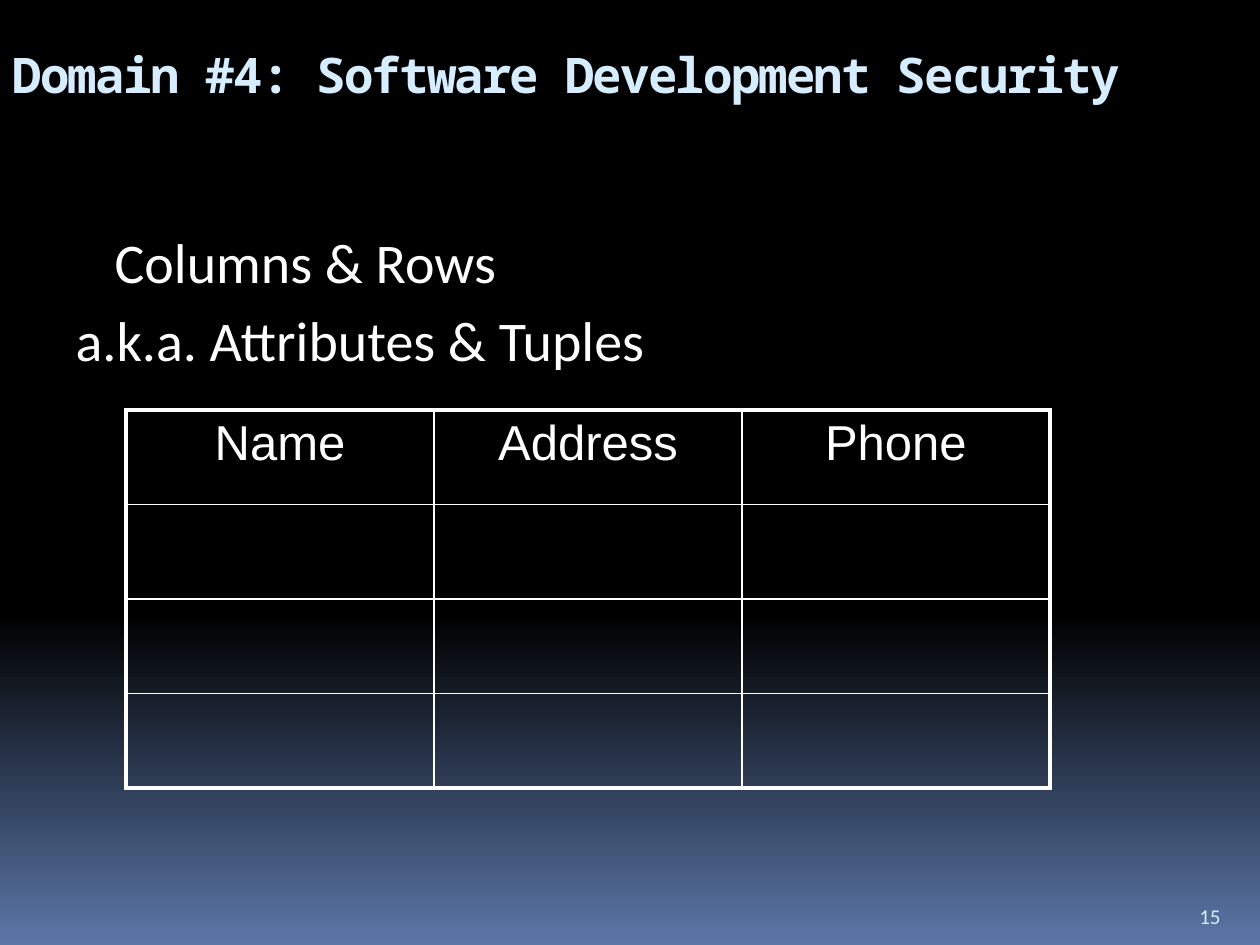
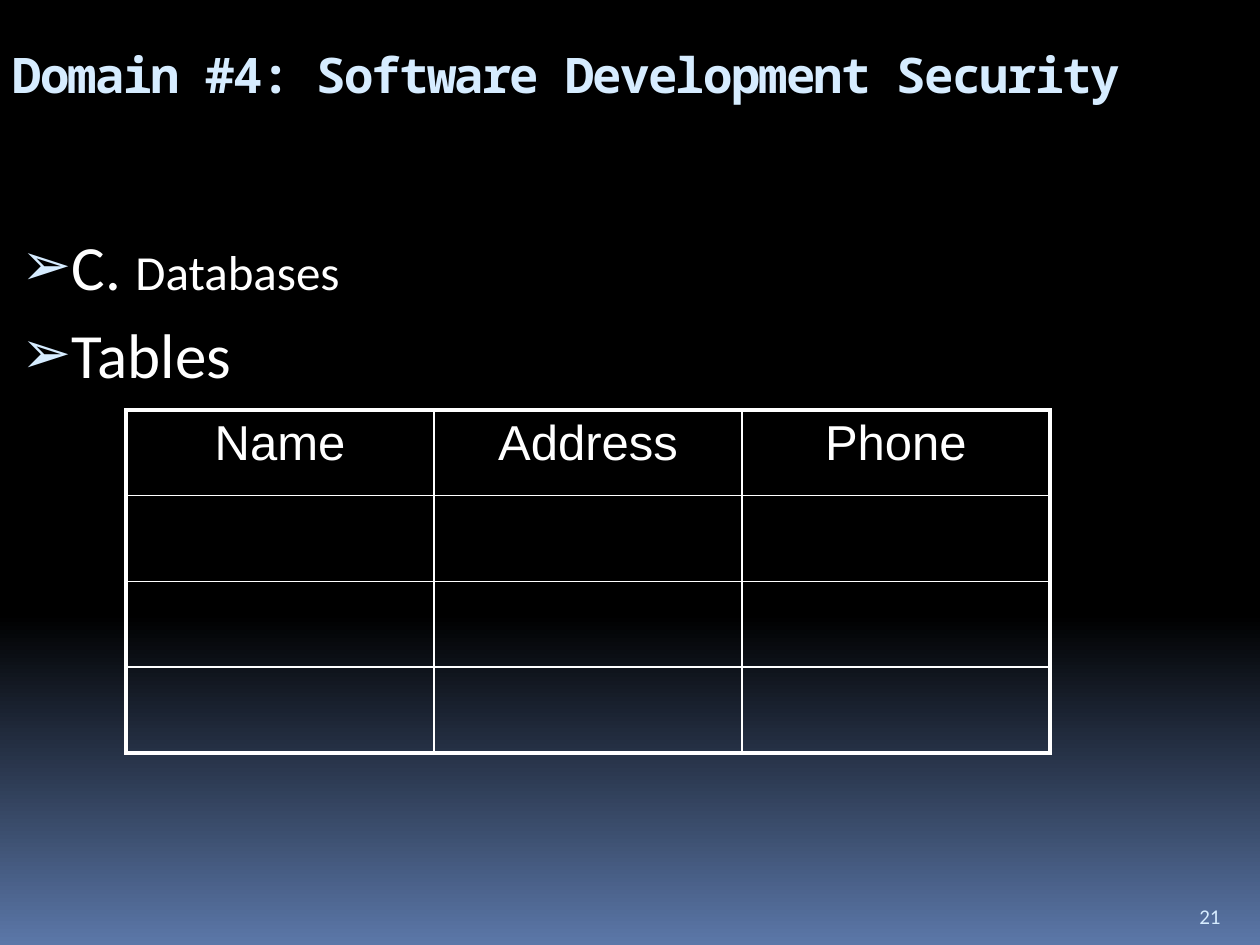
from lxml import etree
from pptx import Presentation
from pptx import util as u
from pptx.dml.color import RGBColor
from pptx.enum import text as t
from pptx.oxml import ns

TITLE = "Domain #4: Software Development Security"
HEADS = ["Name", "Address", "Phone"]
ROWS = 4

# A line is a list of (words, style) runs.
SLIDES = [
    {"num": "15", "body_h": 588, "table_h": 378, "list": "plain",
     "lines": [[("\tColumns & Rows", "sub")],
               [("a.k.a. Attributes & Tuples", "sub")]]},
    {"num": "21", "body_h": 624, "table_h": 343, "list": "arrow",
     "lines": [[("C. ", "main"), ("Databases", "small")],
               [("Tables", "main")]]},
]

# Boxes in px: left, top, width, height
PX = 914400 / 126
PAGE = (1260, 945)
TITLE_BOX = (0, 38, 1134, 158)
NUM_BOX = (1187, 885, 63, 50)
BODY_BOX = (0, 221, 1134)
TABLE_BOX = (126, 410, 924)

THEME = {
    "pale": "D6ECFF",
    "white": "FFFFFF",
    "back": [(0, "000000"), (65, "000000"), (100, "5B77A8")],
    "thick": 2.25,
    "thin": 1,
    "fonts": {
        "title": {"name": "Noto Sans Mono", "size": u.Pt(28), "bold": True},
        "num": {"name": "Calibri", "size": u.Pt(12)},
        "sub": {"name": "Calibri", "size": u.Pt(32)},
        "main": {"name": "Calibri", "size": u.Pt(36)},
        "small": {"name": "Calibri", "size": u.Pt(28)},
        "cell": {"name": "Arial", "size": u.Pt(28)},
    },
    "lists": {
        "plain": {"level": 1, "left": 102, "hang": -39, "gap": 6.4, "mark": None},
        "arrow": {"level": 0, "left": 57, "hang": -48, "gap": 7, "mark": "➢"},
    },
}


def px(n):
    return u.Emu(round(n * PX))


def put(item, values):
    for key, value in values.items():
        setattr(item, key, value)


def place(shape, box):
    put(shape, dict(zip(("left", "top", "width", "height"), map(px, box))))


def add(node, tag, **attrs):
    return etree.SubElement(node, ns.qn("a:" + tag), attrs)


def tint(node, color):
    add(node, "srgbClr", val=color)


def write(para, words, style, color):
    run = para.add_run()
    run.text = words
    put(run.font, THEME["fonts"][style])
    run.font.color.rgb = RGBColor.from_string(color)
    return run


def setup(frame, anchor):
    put(frame, {"word_wrap": True, "auto_size": t.MSO_AUTO_SIZE.NONE,
                "vertical_anchor": anchor})


def paint(master):
    """Give every slide the black-to-blue background."""
    fill = master.background.fill
    fill.gradient()
    fill.gradient_angle = 270
    stops = master.element.find(".//" + ns.qn("a:gsLst"))
    for stop in list(stops):
        stops.remove(stop)
    for pos, color in THEME["back"]:
        tint(add(stops, "gs", pos=str(pos * 1000)), color)


def add_title(slide):
    shape = slide.shapes.title
    place(shape, TITLE_BOX)
    setup(shape.text_frame, t.MSO_ANCHOR.TOP)
    para = shape.text_frame.paragraphs[0]
    para.alignment = t.PP_ALIGN.LEFT
    run = write(para, TITLE, "title", THEME["pale"])
    run.font._element.set("spc", "-100")


def add_num(slide, num):
    box = slide.shapes.add_textbox(*map(px, NUM_BOX))
    setup(box.text_frame, t.MSO_ANCHOR.BOTTOM)
    write(box.text_frame.paragraphs[0], num, "num", THEME["pale"])


def add_body(slide, data):
    shape = slide.placeholders[1]
    place(shape, (*BODY_BOX, data["body_h"]))
    frame = shape.text_frame
    setup(frame, t.MSO_ANCHOR.TOP)
    look = THEME["lists"][data["list"]]
    for i, line in enumerate(data["lines"]):
        para = frame.add_paragraph() if i else frame.paragraphs[0]
        put(para, {"level": look["level"], "space_before": u.Pt(look["gap"])})
        props = para._p.get_or_add_pPr()
        props.set("marL", str(px(look["left"])))
        props.set("indent", str(px(look["hang"])))
        if look["mark"]:
            tint(add(props, "buClr"), THEME["pale"])
            add(props, "buSzPct", val="95000")
            add(props, "buChar", char=look["mark"])
        else:
            add(props, "buNone")
        for words, style in line:
            write(para, words, style, THEME["white"])


def edge(cell, outer):
    """Draw the four borders; the outer ones are thick."""
    props = cell._tc.get_or_add_tcPr()
    for side, thick in outer.items():
        width = u.Pt(THEME["thick" if thick else "thin"])
        line = add(props, "ln" + side, w=str(width))
        tint(add(line, "solidFill"), THEME["white"])
    cell.fill.background()


def add_grid(slide, height):
    cols = len(HEADS)
    box = map(px, (*TABLE_BOX, height))
    table = slide.shapes.add_table(ROWS, cols, *box).table
    put(table, {"first_row": False, "horz_banding": False})
    for r in range(ROWS):
        for c in range(cols):
            edge(table.cell(r, c), {"L": c == 0, "R": c == cols - 1,
                                    "T": r == 0, "B": r == ROWS - 1})
    for c, head in enumerate(HEADS):
        para = table.cell(0, c).text_frame.paragraphs[0]
        para.alignment = t.PP_ALIGN.CENTER
        write(para, head, "cell", THEME["white"])


def main():
    deck = Presentation()
    deck.slide_width, deck.slide_height = map(px, PAGE)
    paint(deck.slide_master)
    for data in SLIDES:
        slide = deck.slides.add_slide(deck.slide_layouts[1])
        add_num(slide, data["num"])
        add_title(slide)
        add_body(slide, data)
        add_grid(slide, data["table_h"])
    deck.save("out.pptx")


if __name__ == "__main__":
    main()
